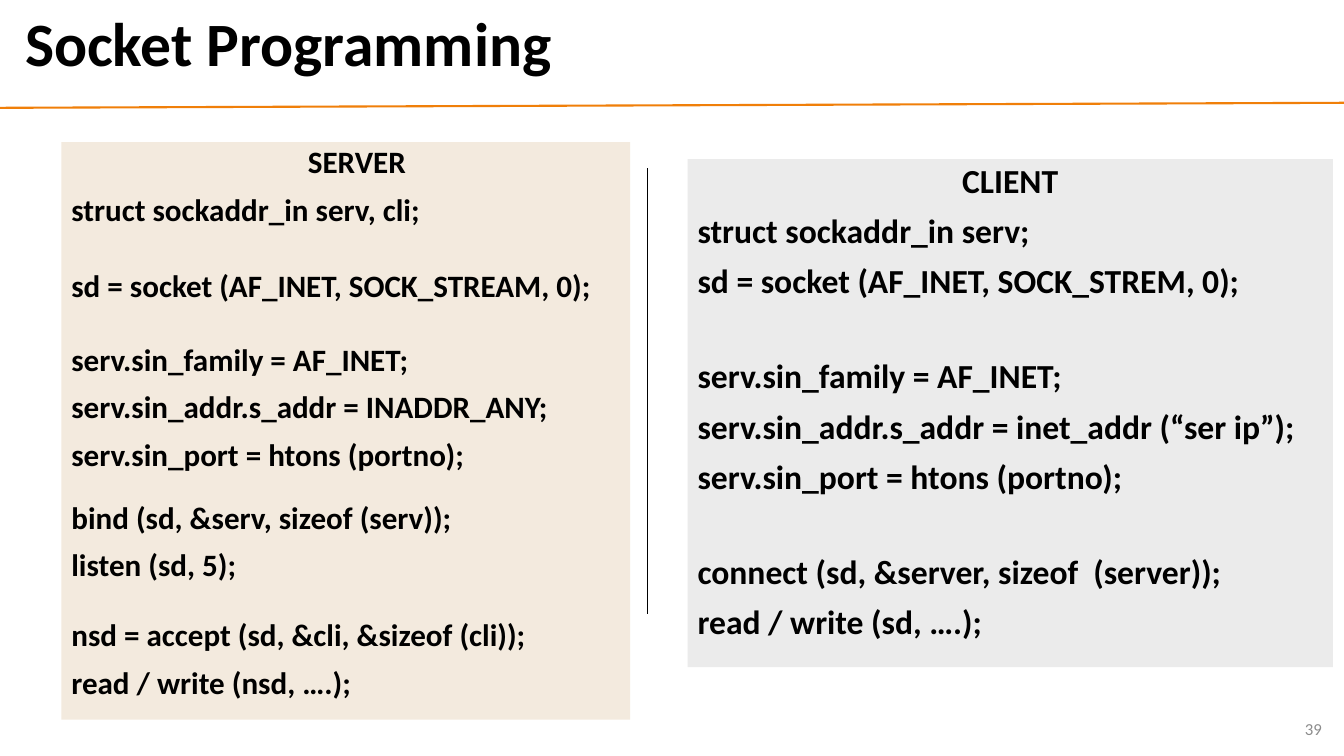
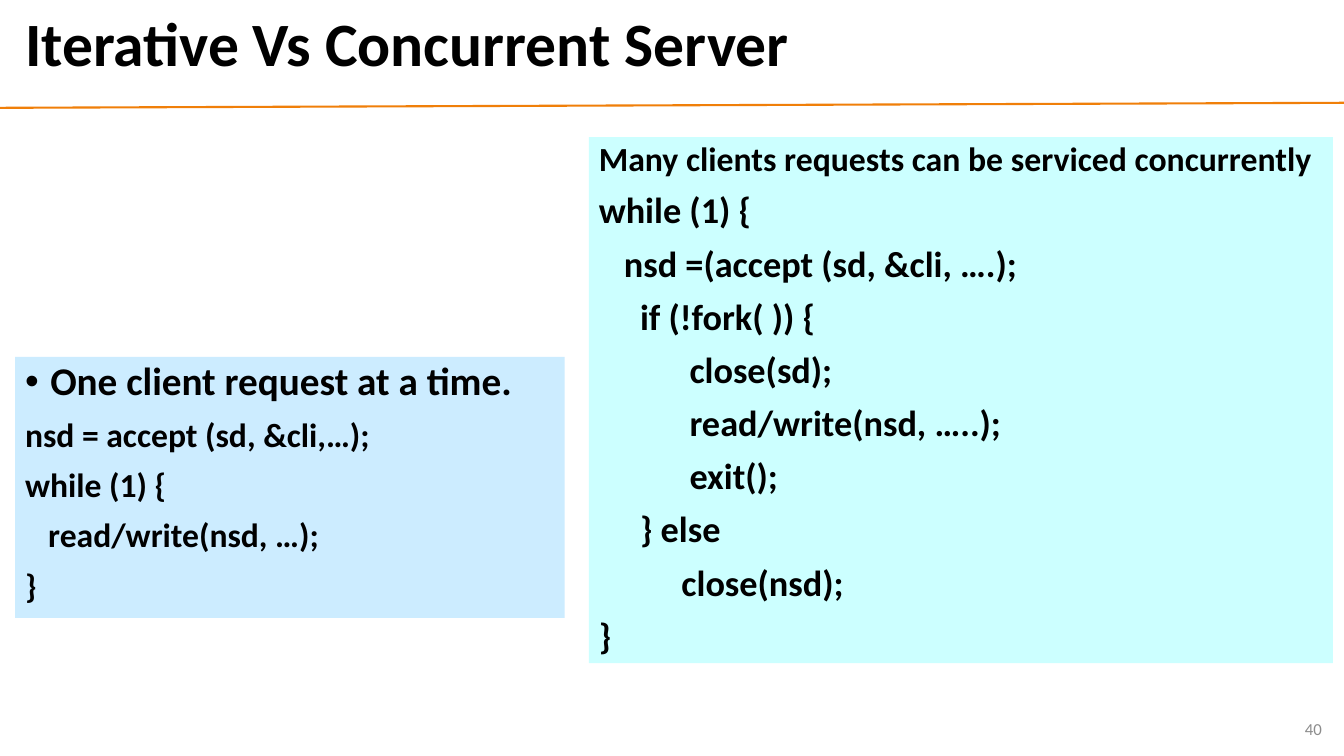
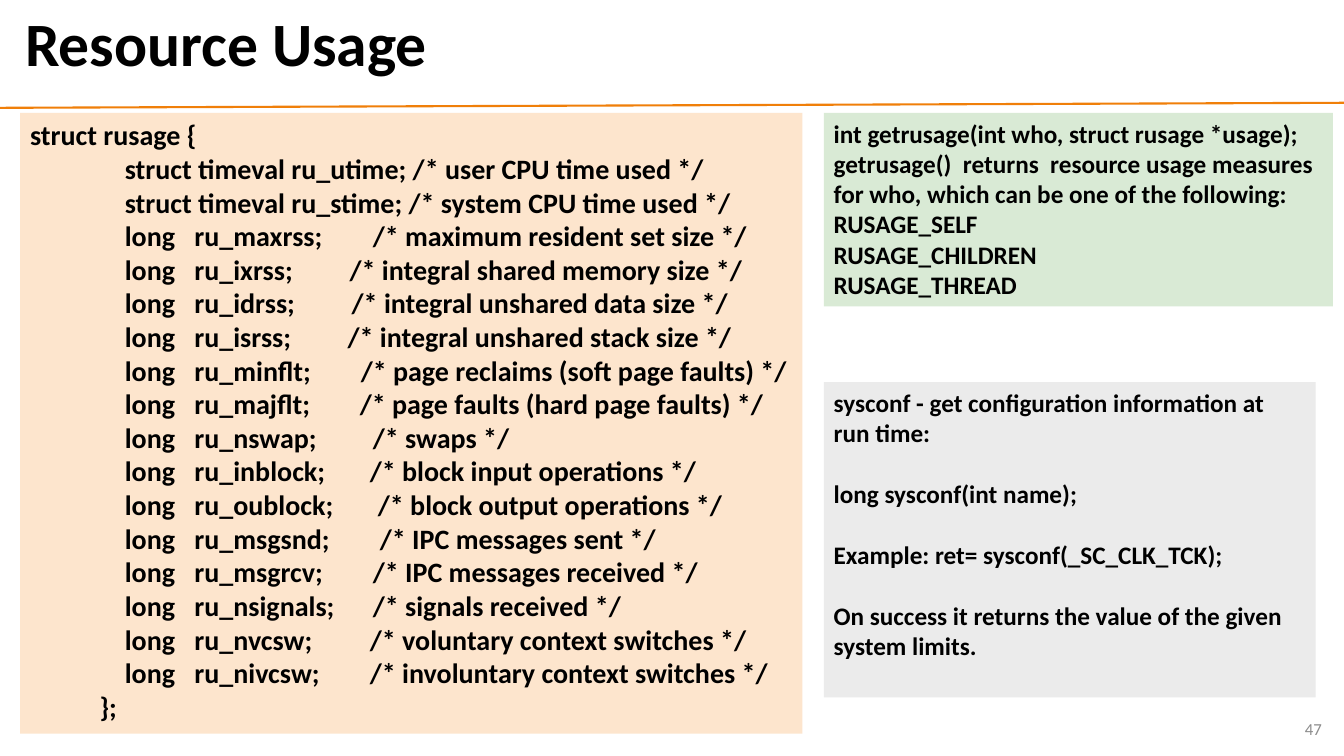
from pptx import Presentation
from pptx.dml.color import RGBColor
from pptx.enum.shapes import MSO_CONNECTOR
from pptx.enum.text import MSO_ANCHOR, PP_ALIGN
from pptx.oxml.ns import qn
from pptx.util import Inches, Pt
from lxml.etree import SubElement

FONT = "Calibri"
HEX = {
    "ink": "000000", "rule": "F07F09", "number": "8C8C8C",
    "sand": "F3EADE", "grey": "EBEBEB", "sky": "CCECFF",
    "aqua": "CCFFFF", "peach": "FDE5CD", "green": "D9EAD5",
}
CODE = {"space": 10, "lead": 0.9}  # paragraph rhythm of the code panels

# Fields of struct rusage: name, comment, comment column in inches
FIELDS = [
    ("maxrss", "maximum resident set size", 3.4),
    ("ixrss", "integral shared memory size", 3.17),
    ("idrss", "integral unshared data size", 3.19),
    ("isrss", "integral unshared stack size", 3.15),
    ("minflt", "page reclaims (soft page faults)", 3.28),
    ("majflt", "page faults (hard page faults)", 3.27),
    ("nswap", "swaps", 3.4),
    ("inblock", "block input operations", 3.37),
    ("oublock", "block output operations", 3.45),
    ("msgsnd", "IPC messages sent", 3.47),
    ("msgrcv", "IPC messages received", 3.4),
    ("nsignals", "signals received", 3.4),
    ("nvcsw", "voluntary context switches", 3.37),
    ("nivcsw", "involuntary context switches", 3.37),
]
RUSAGE = [
    "struct rusage {",
    ("struct timeval ru_utime; /* user CPU time used */", {"left": 0.94}),
    ("struct timeval ru_stime; /* system CPU time used */", {"left": 0.94}),
    *[(f"\tlong\tru_{name};\t/* {note} */", {"tabs": (0.94, 1.63, stop)})
      for name, note, stop in FIELDS],
    ("};", {"left": 0.69}),
]

# A line is a text, or a text with its own settings
SLIDES = [
    {"title": "Socket Programming", "number": "39",
     "divider": (6.42, 1.67, 6.42, 6.09),
     "panels": [
         {"at": (0.61, 1.41, 5.64, 5.73), "fill": "sand", "size": 22.2, **CODE,
          "lines": [
              ("SERVER", {"align": PP_ALIGN.CENTER, "left": 0.22}),
              "struct sockaddr_in serv, cli;",
              ("sd = socket (AF_INET, SOCK_STREAM, 0);", {"space": 30}),
              ("serv.sin_family = AF_INET;", {"space": 29}),
              "serv.sin_addr.s_addr = INADDR_ANY;",
              "serv.sin_port = htons (portno);",
              ("bind (sd, &serv, sizeof (serv));", {"space": 21}),
              "listen (sd, 5);",
              ("nsd = accept (sd, &cli, &sizeof (cli));", {"space": 26}),
              "read / write (nsd, ….);"]},
         {"at": (6.82, 1.58, 6.4, 5.04), "fill": "grey", "size": 24, **CODE,
          "lines": [
              ("CLIENT", {"align": PP_ALIGN.CENTER}),
              "struct sockaddr_in serv;",
              "sd = socket (AF_INET, SOCK_STREM, 0);",
              ("serv.sin_family = AF_INET;", {"space": 42}),
              "serv.sin_addr.s_addr = inet_addr (“ser ip”);",
              "serv.sin_port = htons (portno);",
              ("connect (sd, &server, sizeof  (server));", {"space": 42}),
              "read / write (sd, ….);"]},
     ]},
    {"title": "Iterative Vs Concurrent Server", "number": "40",
     "panels": [
         {"at": (0.15, 3.54, 5.45, 2.59), "fill": "sky", "size": 24, **CODE,
          "lines": [
              ("One client request at a time.",
               {"size": 28, "left": 0.25, "bullet": "•"}),
              "nsd = accept (sd, &cli,…);",
              "while (1) {",
              ("read/write(nsd, …);", {"left": 0.23}),
              "}"]},
         {"at": (5.84, 1.36, 7.38, 5.22), "fill": "aqua", "size": 25.9, **CODE,
          "lines": [
              ("Many clients requests can be serviced concurrently",
               {"size": 24.1}),
              "while (1) {",
              ("nsd =(accept (sd, &cli, ….);", {"left": 0.25}),
              ("if (!fork( )) {", {"left": 0.41}),
              ("close(sd);", {"left": 0.9}),
              ("read/write(nsd, …..);", {"left": 0.9}),
              ("exit();", {"left": 0.9}),
              ("} else", {"left": 0.41}),
              ("close(nsd);", {"left": 0.82}),
              "}"]},
     ]},
    {"title": "Resource Usage", "number": "47",
     "panels": [
         {"at": (0.2, 1.12, 7.76, 6.16), "fill": "peach", "size": 20,
          "lines": RUSAGE},
         {"at": (8.17, 1.12, 5.05, 1.92), "fill": "green", "size": 18,
          "wrap": False,
          "lines": [
              "int getrusage(int who, struct rusage *usage);",
              "getrusage()  returns  resource usage measures",
              "for who, which can be one of the following:",
              "RUSAGE_SELF",
              "RUSAGE_CHILDREN",
              "RUSAGE_THREAD"]},
         {"at": (8.17, 3.79, 4.88, 3.13), "fill": "grey", "size": 18,
          "lines": [
              "sysconf - get configuration information at",
              "run time:",
              ("long sysconf(int name);", {"space": 22}),
              ("Example: ret= sysconf(_SC_CLK_TCK);", {"space": 22}),
              ("On success it returns the value of the given system limits.",
               {"space": 22})]},
     ]},
]


def color(name):
    return RGBColor.from_string(HEX[name])


def style(para, text, look):
    """Write one paragraph with its font, spacing, indent, tabs and bullet."""
    para.text = text
    font = para.font
    font.name, font.size = FONT, Pt(look["size"])
    font.bold = look.get("bold", True)
    font.color.rgb = color(look.get("ink", "ink"))
    para.alignment = look.get("align", PP_ALIGN.LEFT)
    para.line_spacing = look.get("lead", 1.0)
    para.space_before = Pt(look.get("space", 0))
    props = para._p.get_or_add_pPr()
    left = Inches(look.get("left", 0))
    props.set("marL", str(left))
    if "bullet" in look:
        props.set("indent", str(-left))
        SubElement(props, qn("a:buFont"), typeface="Arial")
        SubElement(props, qn("a:buChar"), char=look["bullet"])
    if "tabs" in look:
        tabs = SubElement(props, qn("a:tabLst"))
        for stop in look["tabs"]:
            SubElement(tabs, qn("a:tab"), pos=str(Inches(stop)), algn="l")
    # The schema wants paragraph run defaults after bullets and tabs
    base = props.find(qn("a:defRPr"))
    if base is not None:
        props.append(base)


def add_panel(slide, at, lines, fill=None, wrap=True,
              anchor=MSO_ANCHOR.TOP, **look):
    box = slide.shapes.add_textbox(*map(Inches, at))
    if fill:
        box.fill.solid()
        box.fill.fore_color.rgb = color(fill)
    frame = box.text_frame
    frame.word_wrap, frame.vertical_anchor = wrap, anchor
    for i, line in enumerate(lines):
        text, own = (line, {}) if isinstance(line, str) else line
        para = frame.add_paragraph() if i else frame.paragraphs[0]
        style(para, text, {**look, **own})


def add_line(slide, ends, ink, width):
    line = slide.shapes.add_connector(
        MSO_CONNECTOR.STRAIGHT, *map(Inches, ends))
    line.line.color.rgb = color(ink)
    line.line.width = Pt(width)
    SubElement(line._element.spPr, qn("a:effectLst"))


def add_frame(slide, title, number):
    """Rule, title and slide number shared by every slide."""
    add_line(slide, (0, 1.07, 13.33, 1.02), "rule", 1.5)
    add_panel(slide, (0.15, 0.05, 12.89, 0.83), [title], size=44, lead=0.9,
              anchor=MSO_ANCHOR.MIDDLE)
    add_panel(slide, (10.21, 7.03, 3, 0.4), [number], size=12, bold=False,
              ink="number", align=PP_ALIGN.RIGHT, anchor=MSO_ANCHOR.MIDDLE)


def main():
    deck = Presentation()
    deck.slide_width, deck.slide_height = Inches(13.33), Inches(7.5)
    for page in SLIDES:
        slide = deck.slides.add_slide(deck.slide_layouts[6])
        add_frame(slide, page["title"], page["number"])
        for panel in page["panels"]:
            add_panel(slide, **panel)
        if "divider" in page:
            add_line(slide, page["divider"], "ink", 0.75)
    deck.save("out.pptx")


if __name__ == "__main__":
    main()
